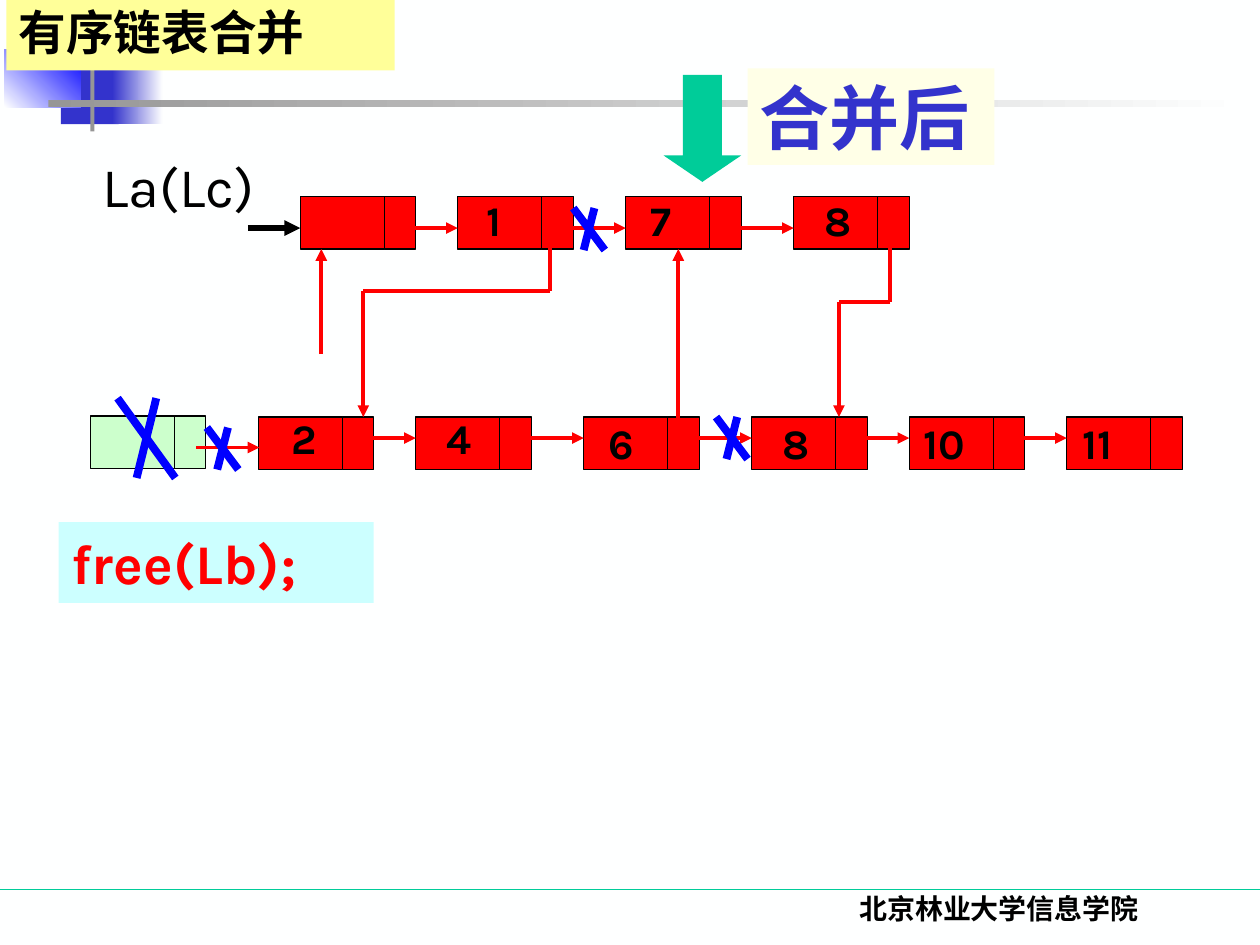
from lxml.etree import SubElement
from pptx import Presentation
from pptx.dml.color import RGBColor
from pptx.enum.shapes import MSO_CONNECTOR, MSO_SHAPE
from pptx.enum.text import MSO_ANCHOR, PP_ALIGN
from pptx.oxml.ns import qn
from pptx.util import Inches, Pt

BLACK = RGBColor(0x00, 0x00, 0x00)
PAPER = RGBColor(0xFE, 0xFF, 0xFF)
RED = RGBColor(0xFF, 0x00, 0x00)
BLUE = RGBColor(0x00, 0x00, 0xFF)
INDIGO = RGBColor(0x33, 0x33, 0xCC)
GRAY = RGBColor(0x96, 0x96, 0x96)
TEAL = RGBColor(0x00, 0xCC, 0x99)
MINT = RGBColor(0xCC, 0xFF, 0xCC)
CYAN = RGBColor(0xCC, 0xFF, 0xFF)
CREAM = RGBColor(0xFF, 0xFF, 0xE7)
YELLOW = RGBColor(0xFF, 0xFF, 0x99)

LATIN, SERIF, CJK = "Karla", "Times New Roman", "Noto Sans CJK SC"
LEFT, TOP, PER_INCH = 0.05, 0.06, 12  # grid origin in inches, units per inch
DATA_W, NEXT_W, NODE_H, LINK = 8, 3, 5, 6
UPPER, LOWER = 18, 39  # grid rows of the two lists


class ListSlide:
    """Draws on one slide; all positions are grid columns and rows."""

    def __init__(self, prs):
        self.s = prs.slides.add_slide(prs.slide_layouts[6])
        fill = self.s.background.fill
        fill.solid()
        fill.fore_color.rgb = PAPER

    def point(self, col, row):
        return Inches(LEFT + col / PER_INCH), Inches(TOP + row / PER_INCH)

    def frame(self, col, row, w, h):
        return *self.point(col, row), Inches(w / PER_INCH), Inches(h / PER_INCH)

    def box(self, col, row, w, h, color, outline=None, kind=MSO_SHAPE.RECTANGLE):
        sp = self.s.shapes.add_shape(kind, *self.frame(col, row, w, h))
        sp.shadow.inherit = False
        sp.fill.solid()
        sp.fill.fore_color.rgb = color
        if outline is None:
            sp.line.fill.background()
        else:
            sp.line.color.rgb = outline
            sp.line.width = Pt(0.75)
        return sp

    def fade(self, col, row, w, h, start, end, angle=0):
        """Box that blends from start to end; angle runs counter-clockwise."""
        fill = self.box(col, row, w, h, start).fill
        fill.gradient()
        fill.gradient_angle = angle
        for stop, color in zip(fill.gradient_stops, (start, end)):
            stop.color.rgb = color

    def text(self, col, row, w, h, words, size, font=LATIN, color=BLACK,
             bold=True, back=None, wrap=True, align=PP_ALIGN.LEFT,
             anchor=MSO_ANCHOR.TOP):
        if back is None:
            sp = self.s.shapes.add_textbox(*self.frame(col, row, w, h))
        else:
            sp = self.box(col, row, w, h, back)
        tf = sp.text_frame
        tf.word_wrap = wrap
        tf.vertical_anchor = anchor
        p = tf.paragraphs[0]
        p.text = words
        p.alignment = align
        p.font.size = Pt(size)
        p.font.bold = bold
        p.font.color.rgb = color
        p.font.name = font
        if font != LATIN:
            props = p._p.pPr.find(qn("a:defRPr"))
            SubElement(props, qn("a:ea")).set("typeface", CJK)
        return p

    def line(self, start, end, color=RED, width=2.25, arrow=False):
        cn = self.s.shapes.add_connector(
            MSO_CONNECTOR.STRAIGHT, *self.point(*start), *self.point(*end))
        cn.line.color.rgb = color
        cn.line.width = Pt(width)
        if arrow:
            ln = cn.line._get_or_add_ln()
            SubElement(ln, qn("a:tailEnd")).set("type", "triangle")
        SubElement(cn._element.spPr, qn("a:effectLst"))

    def route(self, *points):
        """Joined segments, with an arrowhead on the last one."""
        last = len(points) - 2
        for i, (start, end) in enumerate(zip(points, points[1:])):
            self.line(start, end, arrow=i == last)

    def node(self, col, row, color=RED):
        self.box(col, row, DATA_W, NODE_H, color, BLACK)
        self.box(col + DATA_W, row, NEXT_W, NODE_H, color, BLACK)

    def value(self, col, row, words):
        self.text(col, row, 4.7 if len(words) == 1 else 7, 6, words, 24, wrap=False)

    def cross(self, col, row, w=3, h=4):
        for top, bottom in ((0.67, 0.33), (0, 1)):
            self.line((col + top * w, row), (col + bottom * w, row + h), BLUE, 4.5)


def draw_theme(slide):
    slide.line((-0.6, 84), (119.4, 84), TEAL, 0.75)
    slide.box(5.2, 4.9, 5.5, 6.2, INDIGO)
    slide.fade(10.1, 4.9, 4.8, 6.2, INDIGO, PAPER)
    slide.fade(-0.2, 4, 7.3, 5.5, PAPER, BLUE, 45)
    slide.box(8, -0.7, 0.4, 12.5, GRAY)
    slide.fade(4, 8.8, 114.1, 0.7, GRAY, PAPER)
    slide.text(69.7, 83.6, 49.7, 6, "北京林业大学信息学院", 16, SERIF,
               align=PP_ALIGN.CENTER)


def draw_lists(slide):
    # list row, row of its links, node columns
    lists = ((UPPER, 21, (28, 43, 59, 75)),
             (LOWER, 41, (24, 39, 55, 71, 86, 101)))
    for row, _, cols in lists:
        for col in cols:
            slide.node(col, row)
    for _, row, cols in lists:
        for col in cols[1:]:
            slide.line((col - LINK, row), (col, row), arrow=True)

    slide.route((30, 33), (30, 23))
    slide.route((51.8, 21), (51.8, 27), (34, 27), (34, LOWER))
    slide.route((64, 41), (64, 23))
    slide.route((84.2, 21), (84.2, 28), (79.3, 28), (79.3, LOWER))
    slide.line((23, 21), (28, 21), BLACK, 3, arrow=True)
    slide.text(8, 13.1, 17.8, 7.7, "La(Lc)", 32, bold=False)

    for col, row, words in (
            (44.6, 17.2, "1"), (60.2, 17.2, "7"), (76.7, 17.2, "8"),
            (26, 38, "2"), (40.7, 38, "4"), (56.2, 38.5, "6"),
            (72.7, 38.5, "8"), (86.2, 38.5, "10"), (101.3, 38.5, "11")):
        slide.value(col, row, words)


def draw_removed_links(slide):
    slide.cross(54, 19.1)
    slide.cross(67.6, LOWER)
    slide.node(8, 38.9, MINT)
    slide.line((18.1, 41.9), (24.1, 41.9), arrow=True)
    slide.cross(19.1, 40)
    slide.cross(10.6, 37.2, 5.5, 7.6)


def draw_captions(slide):
    arrow = slide.box(62.6, 6.4, 7.4, 10.2, TEAL, kind=MSO_SHAPE.DOWN_ARROW)
    arrow.adjustments[1] = 0.34
    slide.text(70.6, 5.8, 23.5, 9.2, "合并后", 40, SERIF, INDIGO, back=CREAM)
    slide.text(5, 49, 30, 7.7, "free(Lb);", 32, color=RED, back=CYAN)
    title = slide.text(0, -0.7, 37, 6.7, "有序链表合并", 27.2, CJK, back=YELLOW,
                       anchor=MSO_ANCHOR.MIDDLE)
    title.line_spacing = 0.9


def main():
    prs = Presentation()
    prs.slide_width, prs.slide_height = Inches(10), Inches(7.5)
    slide = ListSlide(prs)
    draw_theme(slide)
    draw_lists(slide)
    draw_removed_links(slide)
    draw_captions(slide)
    prs.save("out.pptx")


if __name__ == "__main__":
    main()
